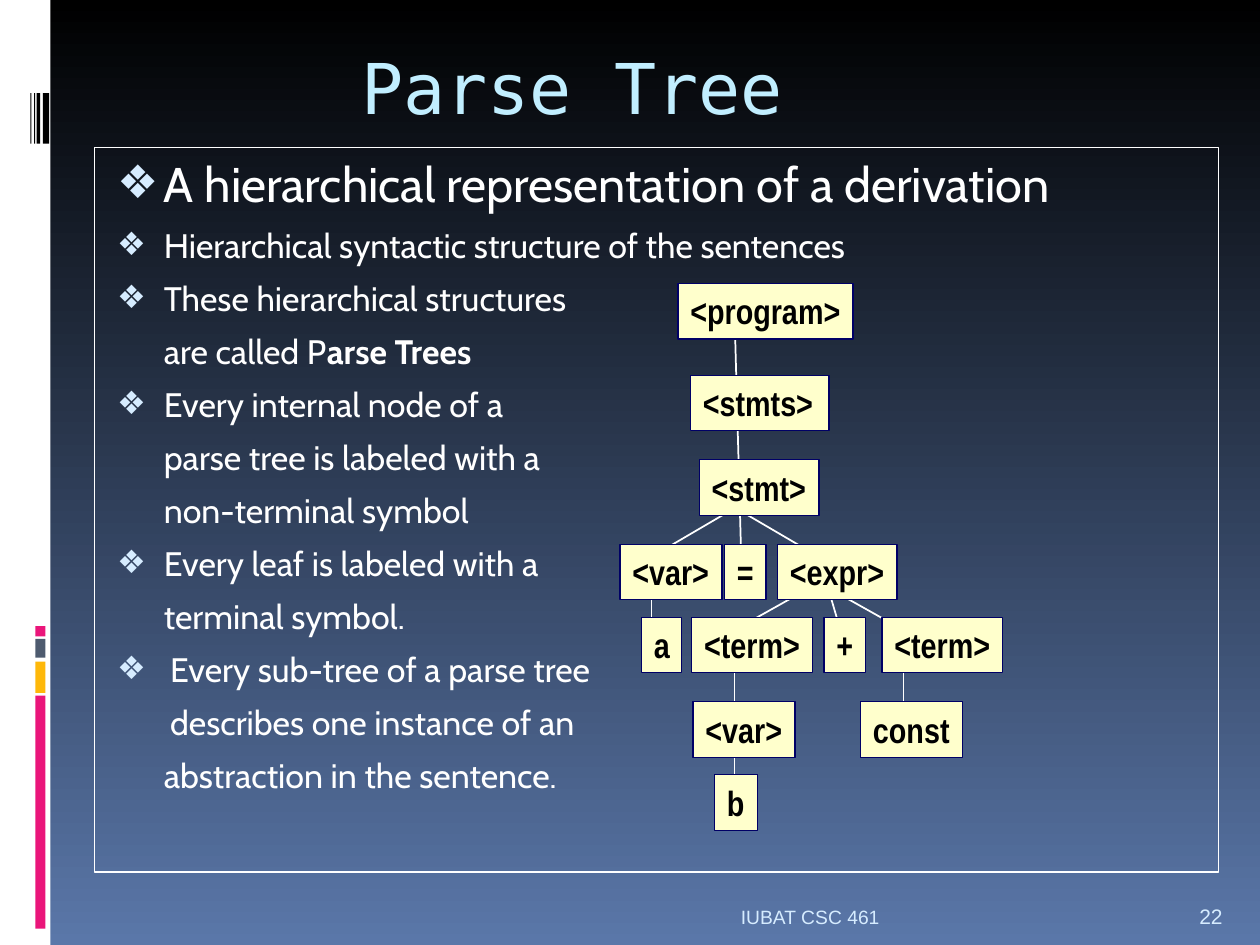
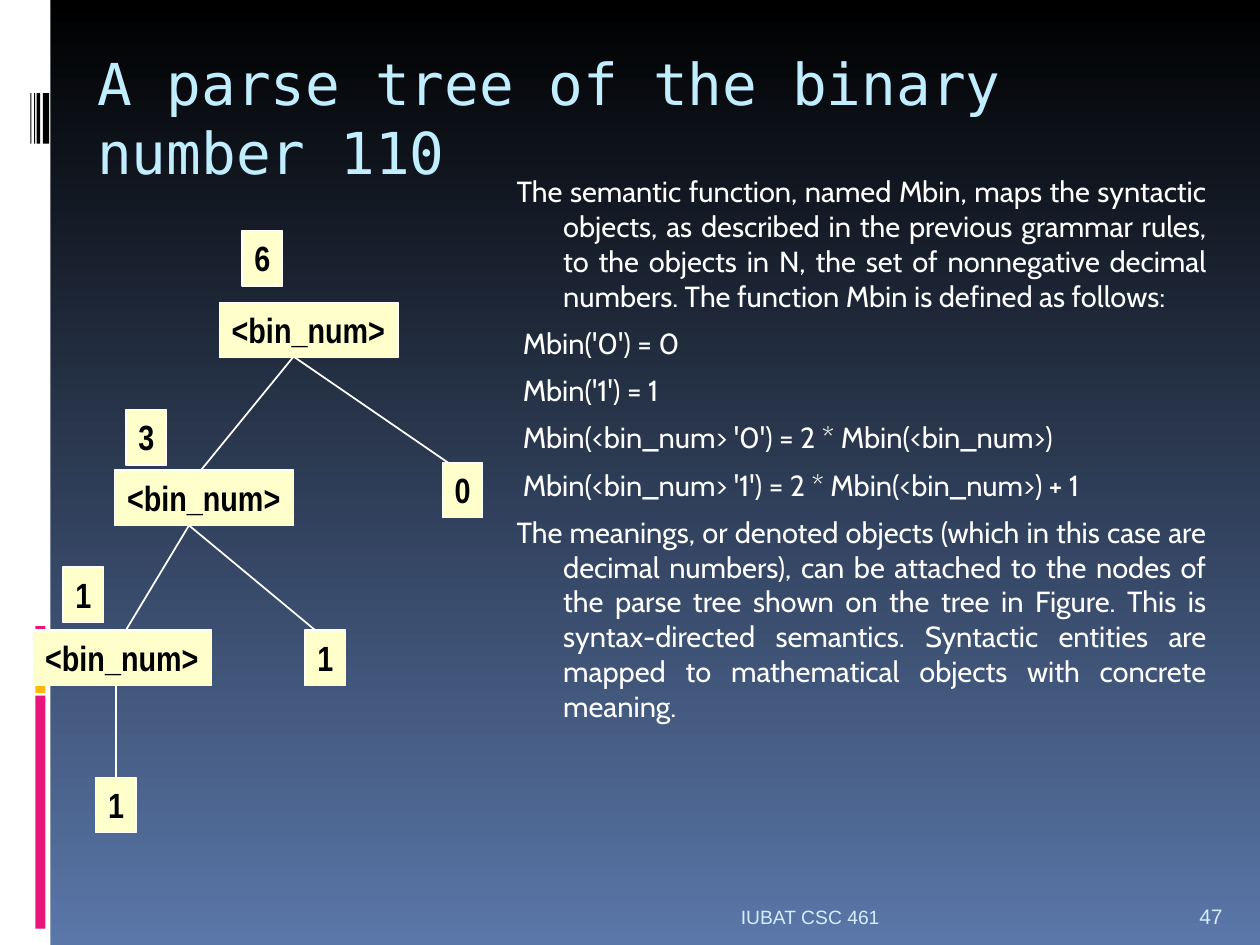
from lxml import etree
from pptx import Presentation
from pptx.dml.color import RGBColor
from pptx.enum.shapes import MSO_CONNECTOR as Connector, MSO_SHAPE as Preset
from pptx.enum.text import MSO_ANCHOR as Anchor, MSO_AUTO_SIZE as AutoSize, PP_ALIGN as Align
from pptx.oxml.ns import qn
from pptx.util import Inches, Pt

BLACK = RGBColor(0x00, 0x00, 0x00)
WHITE = RGBColor(0xFF, 0xFF, 0xFF)
SKY_BOTTOM = RGBColor(0x5A, 0x77, 0xA9)
TITLE_BLUE = RGBColor(0xC1, 0xEE, 0xFF)
PALE_BLUE = RGBColor(0xD6, 0xEC, 0xFF)
PINK = RGBColor(0xEA, 0x15, 0x7A)
AMBER = RGBColor(0xFE, 0xB8, 0x0A)
SLATE = RGBColor(0x4E, 0x5B, 0x6F)
CREAM = RGBColor(0xFF, 0xFF, 0xCC)
NAVY = RGBColor(0x00, 0x00, 0x66)

TITLE_FONT, BODY_FONT, NODE_FONT, FOOTER_FONT = "DejaVu Sans Mono", "Cabin", "Arial Narrow", "Arial"
NODE_HEIGHT = 0.44
BULLET_LEFT, TEXT_LEFT = 0.08, 0.45

# Left band: left, top, width, height, colour
BAND = [
    (0, 0, 0.4, 7.5, WHITE),
    (0.28, 5.52, 0.08, 1.85, PINK),
    (0.28, 5.25, 0.08, 0.25, AMBER),
    (0.28, 5.07, 0.08, 0.15, SLATE),
    (0.28, 4.97, 0.08, 0.08, PINK),
] + [(left, 0.74, width, 0.4, BLACK)
     for left, width in [(0.34, 0.05), (0.29, 0.03), (0.27, 0.01), (0.24, 0.01)]]


# Shared parts
def set_background(master):
    fill = master.background.fill
    fill.gradient()
    fill.gradient_angle = 270
    for stop, color in zip(fill.gradient_stops, (BLACK, SKY_BOTTOM)):
        stop.color.rgb = color


def place(shape, left, top, width, height):
    shape.left, shape.top = Inches(left), Inches(top)
    shape.width, shape.height = Inches(width), Inches(height)


def format_runs(paragraph, font_name, size, color, bold=False):
    for run in paragraph.runs:
        run.font.name = font_name
        run.font.size = Pt(size)
        run.font.color.rgb = color
        run.font.bold = bold


def add_rectangle(slide, left, top, width, height, color):
    shape = slide.shapes.add_shape(
        Preset.RECTANGLE, Inches(left), Inches(top), Inches(width), Inches(height))
    shape.shadow.inherit = False
    shape.fill.solid()
    shape.fill.fore_color.rgb = color
    shape.line.fill.background()
    return shape


def add_footer_text(slide, text, left, width, size, alignment):
    box = slide.shapes.add_textbox(Inches(left), Inches(7.02), Inches(width), Inches(0.4))
    text_frame = box.text_frame
    text_frame.word_wrap = True
    text_frame.vertical_anchor = Anchor.BOTTOM
    text_frame.text = text
    paragraph = text_frame.paragraphs[0]
    paragraph.alignment = alignment
    format_runs(paragraph, FOOTER_FONT, size, PALE_BLUE)


def add_base_slide(presentation, title, title_box, title_size, alignment, number):
    slide = presentation.slides.add_slide(presentation.slide_layouts[1])
    for bar in BAND:
        add_rectangle(slide, *bar)
    place(slide.shapes.title, *title_box)
    text_frame = slide.shapes.title.text_frame
    text_frame.auto_size = AutoSize.NONE
    text_frame.vertical_anchor = Anchor.TOP
    text_frame.text = title
    paragraph = text_frame.paragraphs[0]
    paragraph.alignment = alignment
    format_runs(paragraph, TITLE_FONT, title_size, TITLE_BLUE)
    add_footer_text(slide, "IUBAT CSC 461", 1, 6.08, 11, Align.RIGHT)
    add_footer_text(slide, number, 9.42, 0.5, 12, Align.LEFT)
    return slide


# Body text
def get_body(slide, *box):
    body = slide.placeholders[1]
    place(body, *box)
    body.text_frame.auto_size = AutoSize.NONE
    return body


def add_body_paragraph(text_frame, text, size, margin, indent, bullet=False, alignment=Align.LEFT):
    first = not text_frame.text
    paragraph = text_frame.paragraphs[0] if first else text_frame.add_paragraph()
    paragraph.text = text
    paragraph.alignment = alignment
    paragraph.space_before = Pt(0 if first else 7)
    properties = paragraph._p.get_or_add_pPr()
    properties.set("marL", str(Inches(margin)))
    properties.set("indent", str(Inches(indent)))
    if bullet:
        color = etree.SubElement(properties, qn("a:buClr"))
        etree.SubElement(color, qn("a:srgbClr"), val=str(PALE_BLUE))
        etree.SubElement(properties, qn("a:buSzPct"), val="95000")
        etree.SubElement(properties, qn("a:buChar"), char="❖")
    else:
        etree.SubElement(properties, qn("a:buNone"))
    format_runs(paragraph, BODY_FONT, size, WHITE)
    return paragraph


# Tree parts
def add_branch(slide, start_x, start_y, end_x, end_y):
    branch = slide.shapes.add_connector(
        Connector.STRAIGHT, Inches(start_x), Inches(start_y), Inches(end_x), Inches(end_y))
    branch.line.color.rgb = WHITE
    branch.line.width = Pt(1)
    etree.SubElement(branch._element.spPr, qn("a:effectLst"))
    return branch


def add_node(slide, text, left, top, width, line_color):
    node = add_rectangle(slide, left, top, width, NODE_HEIGHT, CREAM)
    node.line.color.rgb = line_color
    node.line.width = Pt(0.75)
    text_frame = node.text_frame
    text_frame.word_wrap = False
    text_frame.auto_size = AutoSize.SHAPE_TO_FIT_TEXT
    text_frame.vertical_anchor = Anchor.TOP
    text_frame.text = text
    paragraph = text_frame.paragraphs[0]
    paragraph.alignment = Align.LEFT
    format_runs(paragraph, NODE_FONT, 20, BLACK, bold=True)
    return node


def build_parse_tree(presentation):
    slide = add_base_slide(
        presentation, "Parse Tree", (1.75, 0.3, 5.58, 0.53), 40, Align.CENTER, "22")

    # Each item holds its lines; the first line carries the bullet
    body = get_body(slide, 0.75, 1.17, 8.92, 5.75)
    body.line.color.rgb = WHITE
    body.line.width = Pt(0.75)
    items = [
        ["A hierarchical representation of a derivation"],
        ["Hierarchical syntactic structure of the sentences"],
        ["These hierarchical structures", "are called P"],
        ["Every internal node of a", "parse tree is labeled with a", "non-terminal symbol"],
        ["Every leaf is labeled with a", "terminal symbol."],
        ["Every sub-tree of a parse tree", "describes one instance of an",
         "abstraction in the sentence."],
    ]
    shifted_lines = items[-1][:2]
    for item_index, lines in enumerate(items):
        size = 27.8 if item_index == 0 else 19.4
        for line_index, line in enumerate(lines):
            margin = TEXT_LEFT + (0.05 if line in shifted_lines else 0)
            bullet = line_index == 0
            indent = BULLET_LEFT - margin if bullet else 0
            paragraph = add_body_paragraph(body.text_frame, line, size, margin, indent, bullet)
            if line == "are called P":
                paragraph.add_run().text = "arse Trees"
                format_runs(paragraph, BODY_FONT, size, WHITE)
                paragraph.runs[-1].font.bold = True

    # Branches lie under the nodes
    for branch in [
        (5.83, 2.5, 5.88, 4.33), (5.17, 4.42, 5.75, 4.08), (5.92, 4.08, 6.5, 4.42),
        (5.17, 4.42, 5.17, 4.92), (5.83, 5, 6.42, 4.67), (6.5, 4.42, 6.67, 5),
        (6.58, 4.67, 7.17, 5), (5.83, 5.08, 5.83, 6.42), (7.17, 5.08, 7.17, 5.83),
    ]:
        add_branch(slide, *branch)

    # Tree levels: top, then (text, left, width) of each node
    levels = [
        (2.25, [("<program>", 5.38, 1.39)]),
        (2.98, [("<stmts>", 5.48, 1.1)]),
        (3.65, [("<stmt>", 5.55, 0.95)]),
        (4.32, [("<var>", 4.92, 0.81), ("=", 5.75, 0.33), ("<expr>", 6.17, 0.95)]),
        (4.9, [("a", 5.09, 0.32), ("<term>", 5.49, 0.96), ("+", 6.54, 0.33),
               ("<term>", 7, 0.96)]),
        (5.57, [("<var>", 5.5, 0.81), ("const", 6.83, 0.81)]),
        (6.15, [("b", 5.67, 0.34)]),
    ]
    for top, nodes in levels:
        for text, left, width in nodes:
            add_node(slide, text, left, top, width, NAVY)


def build_binary_tree(presentation):
    slide = add_base_slide(
        presentation, "A parse tree of the binary number 110",
        (0.67, 0.33, 9.17, 1), 33, Align.LEFT, "47")

    # Semantic function
    text_frame = get_body(slide, 3.92, 1.33, 5.75, 5.33).text_frame
    for text in [
        "The semantic function, named Mbin, maps the syntactic objects, as described in the "
        "previous grammar rules, to the objects in N, the set of nonnegative decimal numbers. "
        "The function Mbin is defined as follows:",
        "Mbin('0') = 0",
        "Mbin('1') = 1",
        "Mbin(<bin_num> '0') = 2 * Mbin(<bin_num>)",
        "Mbin(<bin_num> '1') = 2 * Mbin(<bin_num>) + 1",
        "The meanings, or denoted objects (which in this case are decimal numbers), can be "
        "attached to the nodes of the parse tree shown on the tree in Figure. This is "
        "syntax-directed semantics. Syntactic entities are mapped to mathematical objects "
        "with concrete meaning.",
    ]:
        indent = -0.32 if text.startswith("Mbin") else BULLET_LEFT - TEXT_LEFT
        add_body_paragraph(text_frame, text, 16.6, TEXT_LEFT, indent, alignment=Align.JUSTIFY)

    # Branches lie under the nodes
    for branch in [(2.33, 2.83, 1.58, 3.75), (2.33, 2.83, 3.67, 3.75),
                   (1.5, 4.17, 1, 5), (1.5, 4.17, 2.5, 5)]:
        add_branch(slide, *branch)
    leaf_branch = add_branch(slide, 0.92, 5.42, 0.92, 6.17)

    for left, top in [(1.74, 2.4), (0.91, 3.73), (0.26, 5)]:
        add_node(slide, "<bin_num>", left, top, 1.42, WHITE)

    # Digits and the values attached to the inner nodes
    for text, left, top in [("0", 3.51, 3.67), ("1", 2.42, 5), ("6", 1.92, 1.83),
                            ("3", 1, 3.25), ("1", 0.5, 4.5)]:
        add_node(slide, text, left, top, 0.32, WHITE)
    last_digit = add_node(slide, "1", 0.76, 6.17, 0.32, WHITE)
    leaf_branch.end_connect(last_digit, 0)


def main():
    presentation = Presentation()
    presentation.slide_width, presentation.slide_height = Inches(10), Inches(7.5)
    set_background(presentation.slide_master)
    build_parse_tree(presentation)
    build_binary_tree(presentation)
    presentation.save("out.pptx")


if __name__ == "__main__":
    main()
